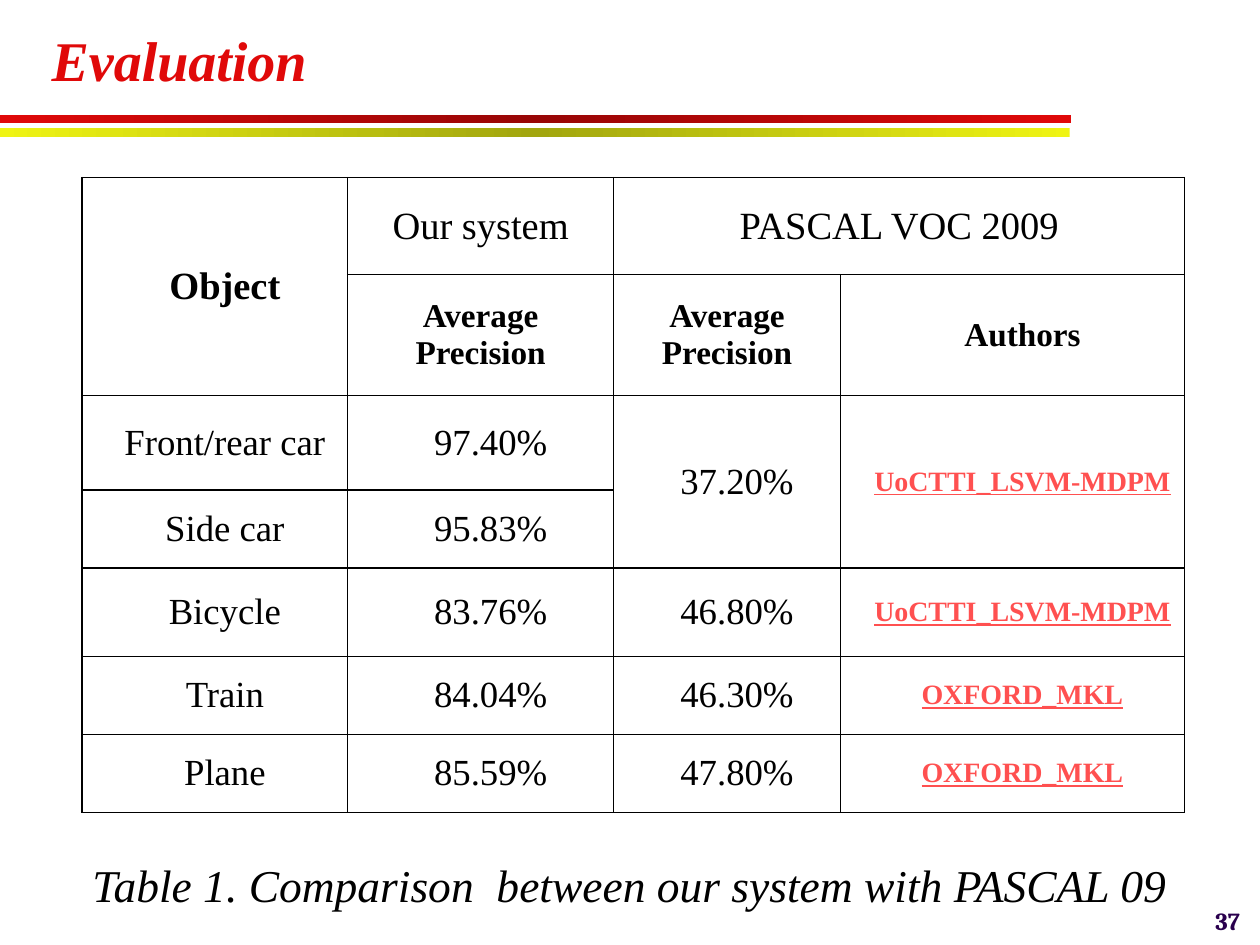
from copy import deepcopy
from dataclasses import dataclass

from lxml.etree import SubElement
from pptx import Presentation
from pptx.dml.color import RGBColor
from pptx.enum.shapes import MSO_SHAPE
from pptx.enum.text import MSO_ANCHOR, PP_ALIGN
from pptx.oxml.ns import qn
from pptx.util import Inches, Pt


@dataclass(frozen=True)
class Theme:
    """Colours, fonts and type sizes of the slide."""
    font: str = "Times New Roman"
    number_font: str = "Cambria"
    red: str = "E00909"
    dark_red: str = "980606"
    yellow: str = "EFF414"
    dark_yellow: str = "A2A60E"
    black: str = "000000"
    author: str = "FF5050"
    number: str = "2A004E"
    title_size: int = 32
    caption_size: int = 26
    heading_size: int = 22
    subheading_size: int = 19
    value_size: int = 21
    author_size: int = 16
    number_size: int = 14


THEME = Theme()
TITLE = "Evaluation"
CAPTION = "Table 1. Comparison  between our system with PASCAL 09"
SLIDE_NUMBER = "37"
BARS = [
    (0.91, 8.5, THEME.red, THEME.dark_red),
    (1.02, 8.49, THEME.yellow, THEME.dark_yellow),
]
ROWS = [
    ["Object", "Our system", "PASCAL VOC 2009", None],
    [None, "Average Precision", "Average Precision", "Authors"],
    ["Front/rear car", "97.40%", "37.20%", "UoCTTI_LSVM-MDPM"],
    ["Side car", "95.83%", None, None],
    ["Bicycle", "83.76%", "46.80%", "UoCTTI_LSVM-MDPM"],
    ["Train", "84.04%", "46.30%", "OXFORD_MKL"],
    ["Plane", "85.59%", "47.80%", "OXFORD_MKL"],
]
MERGES = [((0, 0), (1, 0)), ((0, 2), (0, 3)), ((2, 2), (3, 2)), ((2, 3), (3, 3))]
COLUMN_WIDTHS = [2.11, 2.11, 1.8, 2.73]
ROW_HEIGHTS = [0.77, 0.96, 0.75, 0.62, 0.7, 0.62, 0.62]
UNINDENTED = {(0, 1), (0, 2), (1, 1), (1, 2)}


def add_run(paragraph, text, size, color, bold=False, italic=False,
            underline=False, name=THEME.font):
    run = paragraph.add_run()
    run.text = text
    font = run.font
    font.name, font.size = name, Pt(size)
    font.bold, font.italic, font.underline = bold, italic, underline
    font.color.rgb = RGBColor.from_string(color)


def add_bar(slide, top, width, edge, middle):
    shape = slide.shapes.add_shape(
        MSO_SHAPE.RECTANGLE, 0, Inches(top), Inches(width), Inches(0.07))
    shape.shadow.inherit = False
    shape.line.fill.background()
    shape.fill.gradient()
    shape.fill.gradient_angle = 0
    stop_list = shape._element.spPr.find(qn("a:gradFill")).find(qn("a:gsLst"))
    stop_list.insert(1, deepcopy(stop_list[0]))
    for stop, position, color in zip(
            shape.fill.gradient_stops, (0, 0.5, 1), (edge, middle, edge)):
        stop.position = position
        stop.color.rgb = RGBColor.from_string(color)


def add_borders(cell):
    properties = cell._tc.get_or_add_tcPr()
    for side in ("lnL", "lnR", "lnT", "lnB"):
        line = SubElement(properties, qn(f"a:{side}"), w=str(Pt(1)))
        fill = SubElement(line, qn("a:solidFill"))
        SubElement(fill, qn("a:srgbClr"), val=THEME.black)


def cell_style(row, column):
    if row == 0:
        return dict(size=THEME.heading_size, color=THEME.black, bold=column == 0)
    if row == 1:
        return dict(size=THEME.subheading_size, color=THEME.black, bold=True)
    if column == 3:
        return dict(size=THEME.author_size, color=THEME.author,
                    bold=True, underline=True)
    return dict(size=THEME.value_size, color=THEME.black)


def add_comparison_table(slide):
    table = slide.shapes.add_table(
        len(ROWS), len(COLUMN_WIDTHS), Inches(0.65), Inches(1.41),
        Inches(sum(COLUMN_WIDTHS)), Inches(sum(ROW_HEIGHTS))).table
    table.first_row = table.horz_banding = False
    for column, width in zip(table.columns, COLUMN_WIDTHS):
        column.width = Inches(width)
    for row, height in zip(table.rows, ROW_HEIGHTS):
        row.height = Inches(height)
    for start, end in MERGES:
        table.cell(*start).merge(table.cell(*end))
    for row, texts in enumerate(ROWS):
        for column, text in enumerate(texts):
            cell = table.cell(row, column)
            add_borders(cell)
            cell.fill.background()
            if text is None:
                continue
            cell.vertical_anchor = MSO_ANCHOR.MIDDLE
            cell.margin_left = cell.margin_right = Inches(0.07)
            cell.margin_top = cell.margin_bottom = 0
            paragraph = cell.text_frame.paragraphs[0]
            paragraph.alignment = PP_ALIGN.CENTER
            if (row, column) not in UNINDENTED:
                paragraph._p.get_or_add_pPr().set("indent", str(Inches(0.16)))
            add_run(paragraph, text, **cell_style(row, column))


def add_text(slide, box, alignment, wrap, anchor):
    frame = slide.shapes.add_textbox(*map(Inches, box)).text_frame
    frame.word_wrap = wrap
    frame.vertical_anchor = anchor
    paragraph = frame.paragraphs[0]
    paragraph.alignment = alignment
    return paragraph


def main():
    presentation = Presentation()
    presentation.slide_width, presentation.slide_height = Inches(10), Inches(7.5)
    slide = presentation.slides.add_slide(presentation.slide_layouts[5])

    for bar in BARS:
        add_bar(slide, *bar)

    title = slide.shapes.title
    title.left, title.top = Inches(0.31), Inches(0.07)
    title.width, title.height = Inches(8.1), Inches(0.79)
    title.text_frame.vertical_anchor = MSO_ANCHOR.MIDDLE
    paragraph = title.text_frame.paragraphs[0]
    paragraph.alignment = PP_ALIGN.LEFT
    add_run(paragraph, TITLE, THEME.title_size, THEME.red, bold=True, italic=True)

    paragraph = add_text(slide, (9.53, 7.18, 0.41, 0.25), PP_ALIGN.RIGHT,
                         False, MSO_ANCHOR.MIDDLE)
    add_run(paragraph, SLIDE_NUMBER, THEME.number_size, THEME.number,
            bold=True, name=THEME.number_font)

    add_comparison_table(slide)

    paragraph = add_text(slide, (0.31, 6.56, 9.38, 0.94), PP_ALIGN.CENTER,
                         True, MSO_ANCHOR.TOP)
    paragraph.line_spacing = Pt(45)
    add_run(paragraph, CAPTION, THEME.caption_size, THEME.black, italic=True)

    presentation.save("out.pptx")


if __name__ == "__main__":
    main()
